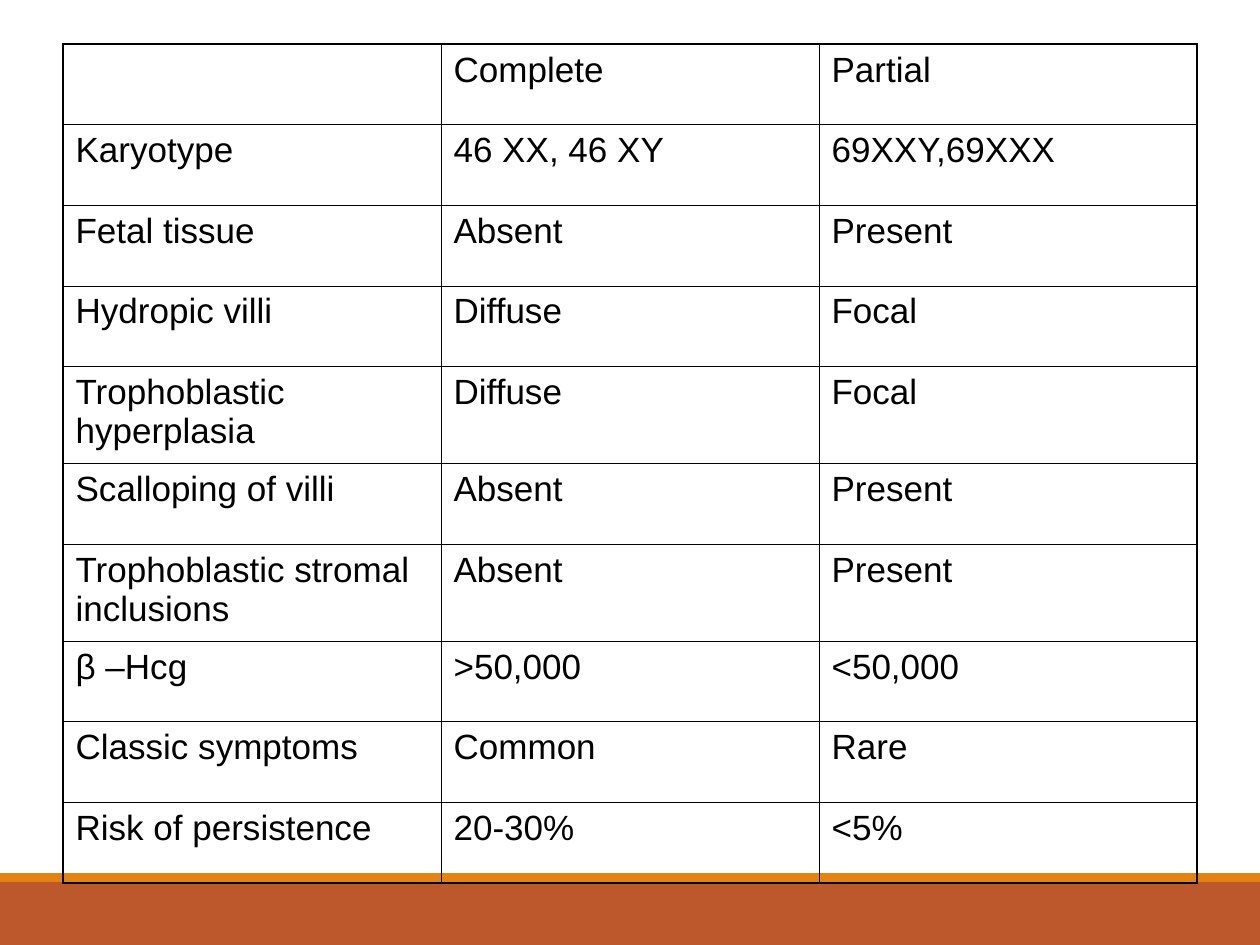
"""Build a slide comparing complete and partial molar pregnancy."""
from lxml import etree
from pptx import Presentation
from pptx.dml.color import RGBColor
from pptx.enum.shapes import MSO_SHAPE
from pptx.oxml.ns import qn
from pptx.util import Inches, Pt

RECTANGLE = MSO_SHAPE.RECTANGLE
COLORS = {"ink": "000000", "footer": "BD582C", "stripe": "E48312"}
OUTER_RULE, INNER_RULE = Pt(1.08), Pt(0.45)
COLUMN_WIDTH = 3
ROW_HEIGHT, TALL_ROW_HEIGHT = 0.64, 0.77

FINDINGS = [
    ("", "Complete", "Partial"),
    ("Karyotype", "46 XX, 46 XY", "69XXY,69XXX"),
    ("Fetal tissue", "Absent", "Present"),
    ("Hydropic villi", "Diffuse", "Focal"),
    ("Trophoblastic hyperplasia", "Diffuse", "Focal"),
    ("Scalloping of villi", "Absent", "Present"),
    ("Trophoblastic stromal inclusions", "Absent", "Present"),
    ("β –Hcg", ">50,000", "<50,000"),
    ("Classic symptoms", "Common", "Rare"),
    ("Risk of persistence", "20-30%", "<5%"),
]
TALL_ROWS = {4, 6}


def add_border(cell, side, width):
    rule = etree.SubElement(cell._tc.get_or_add_tcPr(), qn(f"a:ln{side}"), w=str(width))
    fill = etree.SubElement(rule, qn("a:solidFill"))
    etree.SubElement(fill, qn("a:srgbClr"), val=COLORS["ink"])


deck = Presentation()
deck.slide_width, deck.slide_height = Inches(10), Inches(7.5)
slide = deck.slides.add_slide(deck.slide_layouts[6])

for color, top, height in [("footer", 7, 0.5), ("stripe", 6.93, 0.07)]:
    band = slide.shapes.add_shape(
        RECTANGLE, 0, Inches(top), deck.slide_width, Inches(height))
    band.shadow.inherit = False
    band.fill.solid()
    band.fill.fore_color.rgb = RGBColor.from_string(COLORS[color])
    band.line.fill.background()

row_count, column_count = len(FINDINGS), len(FINDINGS[0])
heights = [TALL_ROW_HEIGHT if row in TALL_ROWS else ROW_HEIGHT for row in range(row_count)]
comparison = slide.shapes.add_table(
    row_count, column_count, Inches(0.5), Inches(0.35),
    Inches(COLUMN_WIDTH * column_count), Inches(sum(heights))).table
comparison.first_row = False
comparison.horz_banding = False
for column in comparison.columns:
    column.width = Inches(COLUMN_WIDTH)

for row, finding in enumerate(FINDINGS):
    comparison.rows[row].height = Inches(heights[row])
    for column, wording in enumerate(finding):
        cell = comparison.cell(row, column)
        cell.text = wording
        font = cell.text_frame.paragraphs[0].font
        font.name, font.size = "Arial", Pt(20)
        font.color.rgb = RGBColor.from_string(COLORS["ink"])
        outer_sides = {
            "L": column == 0,
            "R": column == column_count - 1,
            "T": row == 0,
            "B": row == row_count - 1,
        }
        for side, is_outer in outer_sides.items():
            add_border(cell, side, OUTER_RULE if is_outer else INNER_RULE)
        cell.fill.background()

deck.save("out.pptx")
